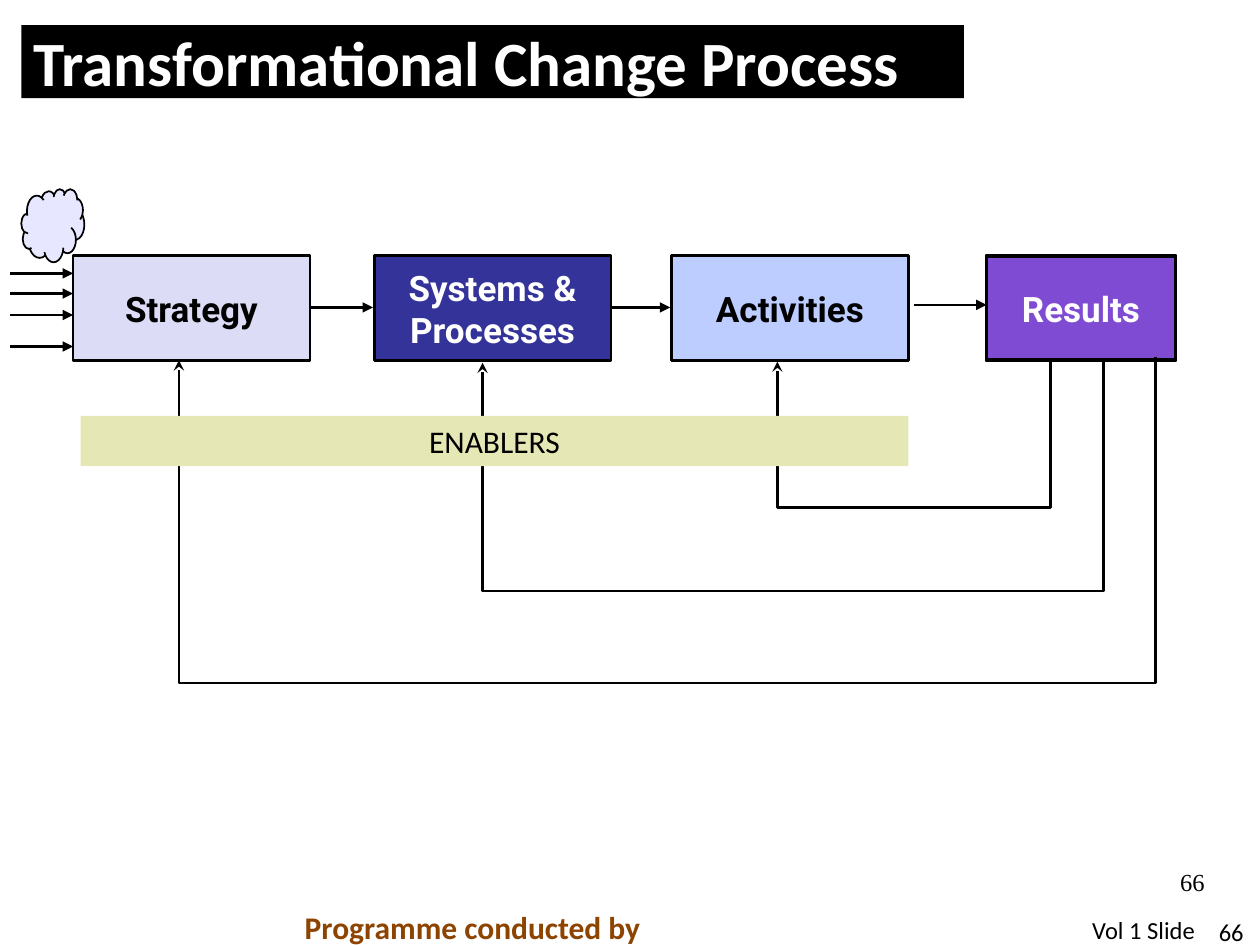
from lxml import etree
from pptx import Presentation
from pptx import util as u
from pptx.dml.color import RGBColor
from pptx.enum import shapes, text
from pptx.oxml import ns

BLACK = RGBColor(0x00, 0x00, 0x00)
WHITE = RGBColor(0xFF, 0xFF, 0xFF)
BROWN = RGBColor(0x8D, 0x44, 0x00)
PURPLE = RGBColor(0x7F, 0x4B, 0xD3)
SKY = RGBColor(0xBD, 0xCD, 0xFF)
NAVY = RGBColor(0x33, 0x33, 0x99)
LAVENDER = RGBColor(0xDC, 0xDC, 0xF6)
PALE_BLUE = RGBColor(0xE7, 0xE7, 0xFF)
OLIVE = RGBColor(0xE5, 0xE8, 0xB4)

LEFT, CENTER, RIGHT = text.PP_ALIGN.LEFT, text.PP_ALIGN.CENTER, text.PP_ALIGN.RIGHT
TOP, MIDDLE, BOTTOM = text.MSO_ANCHOR.TOP, text.MSO_ANCHOR.MIDDLE, text.MSO_ANCHOR.BOTTOM

STAGE_TOP, STAGE_HEIGHT = 2.03, 0.83
STAGES = [
    ("Strategy", 0.58, 1.88, LAVENDER, BLACK, 1.5),
    ("Systems & Processes", 2.97, 1.88, NAVY, WHITE, 1.5),
    ("Activities", 5.33, 1.88, SKY, BLACK, 1.5),
    ("Results", 7.83, 1.5, PURPLE, WHITE, 2.25),
]
FEEDBACK_LOOPS = [
    (9.17, 2.83, 5.42, 1.42, 2.86),
    (8.76, 2.86, 4.69, 3.83, 2.88),
    (8.34, 2.86, 4.03, 6.17, 2.87),
]
STAGE_ARROWS = [
    (2.47, 2.96, 2.44, 1.5),
    (4.86, 5.32, 2.44, 1.5),
    (7.25, 7.83, 2.42, 1),
]
INPUT_ARROWS = [(0.08, 0.58, y, 1.5) for y in (2.17, 2.33, 2.5, 2.75)]
FOOTERS = [
    ("Programme conducted by", (2.32, 7.16, 2.89, 0.4), 18, "Calibri", BROWN, True, LEFT),
    ("Vol 1 Slide", (8.57, 7.21, 1.03, 0.34), 14, "Calibri", BLACK, False, LEFT),
    ("66", (7.58, 6.83, 2.08, 0.5), 14, "Times New Roman", BLACK, False, RIGHT),
]


def inches(values):
    return [u.Inches(value) for value in values]


def write(shape, content, size, font_name, color, bold=False, align=LEFT, anchor=TOP):
    frame = shape.text_frame
    frame.word_wrap = True
    frame.vertical_anchor = anchor
    frame.text = content
    paragraph = frame.paragraphs[0]
    paragraph.alignment = align
    font = paragraph.runs[0].font
    font.size = u.Pt(size)
    font.name = font_name
    font.bold = bold
    font.color.rgb = color


def add_box(slide, kind, bounds, fill, line_width=None):
    shape = slide.shapes.add_shape(kind, *inches(bounds))
    shape.shadow.inherit = False
    shape.fill.solid()
    shape.fill.fore_color.rgb = fill
    if line_width:
        style_line(shape, line_width)
    else:
        shape.line.fill.background()
    return shape


def style_line(shape, width, arrowhead=None):
    shape.line.color.rgb = BLACK
    shape.line.width = u.Pt(width)
    if arrowhead:
        line = shape.line._get_or_add_ln()
        etree.SubElement(line, ns.qn("a:tailEnd"), type=arrowhead)


def add_arrow(slide, start, end, y, width):
    arrow = slide.shapes.add_connector(
        shapes.MSO_CONNECTOR.STRAIGHT, *inches((start, y, end, y)))
    style_line(arrow, width, "triangle")
    etree.SubElement(arrow._element.spPr, ns.qn("a:effectLst"))


def add_feedback(slide, start_x, start_y, low_y, end_x, end_y):
    builder = slide.shapes.build_freeform(*inches((start_x, start_y)))
    corners = [(start_x, low_y), (end_x, low_y), (end_x, end_y)]
    builder.add_line_segments([inches(corner) for corner in corners], close=False)
    loop = builder.convert_to_shape()
    loop.shadow.inherit = False
    loop.fill.background()
    style_line(loop, 1.5, "stealth")


def main():
    presentation = Presentation()
    presentation.slide_width, presentation.slide_height = inches((10, 7.5))
    slide = presentation.slides.add_slide(presentation.slide_layouts[6])
    rectangle = shapes.MSO_SHAPE.RECTANGLE

    number = slide.shapes.add_textbox(*inches((9.49, 7.27, 0.38, 0.24)))
    write(number, "66", 14, "Calibri", BLACK, align=RIGHT, anchor=BOTTOM)
    frame = number.text_frame
    frame.margin_left = frame.margin_right = frame.margin_top = frame.margin_bottom = 0

    for content, bounds, *style in FOOTERS:
        write(slide.shapes.add_textbox(*inches(bounds)), content, *style)

    for name, left, width, fill, color, line_width in STAGES:
        bounds = (left, STAGE_TOP, width, STAGE_HEIGHT)
        stage = add_box(slide, rectangle, bounds, fill, line_width)
        write(stage, name, 20, "Roboto", color, True, CENTER, MIDDLE)

    for loop in FEEDBACK_LOOPS:
        add_feedback(slide, *loop)

    title = add_box(slide, rectangle, (0.17, 0.2, 7.48, 0.58), BLACK)
    write(title, "Transformational Change Process", 36, "Calibri", WHITE, True, LEFT, MIDDLE)

    for arrow in STAGE_ARROWS + INPUT_ARROWS:
        add_arrow(slide, *arrow)

    add_box(slide, shapes.MSO_SHAPE.CLOUD, (0.17, 1.5, 0.5, 0.58), PALE_BLUE, 1)

    enablers = add_box(slide, rectangle, (0.64, 3.3, 6.57, 0.4), OLIVE)
    write(enablers, "ENABLERS", 18, "Calibri", BLACK, align=CENTER)

    presentation.save("out.pptx")


if __name__ == "__main__":
    main()
